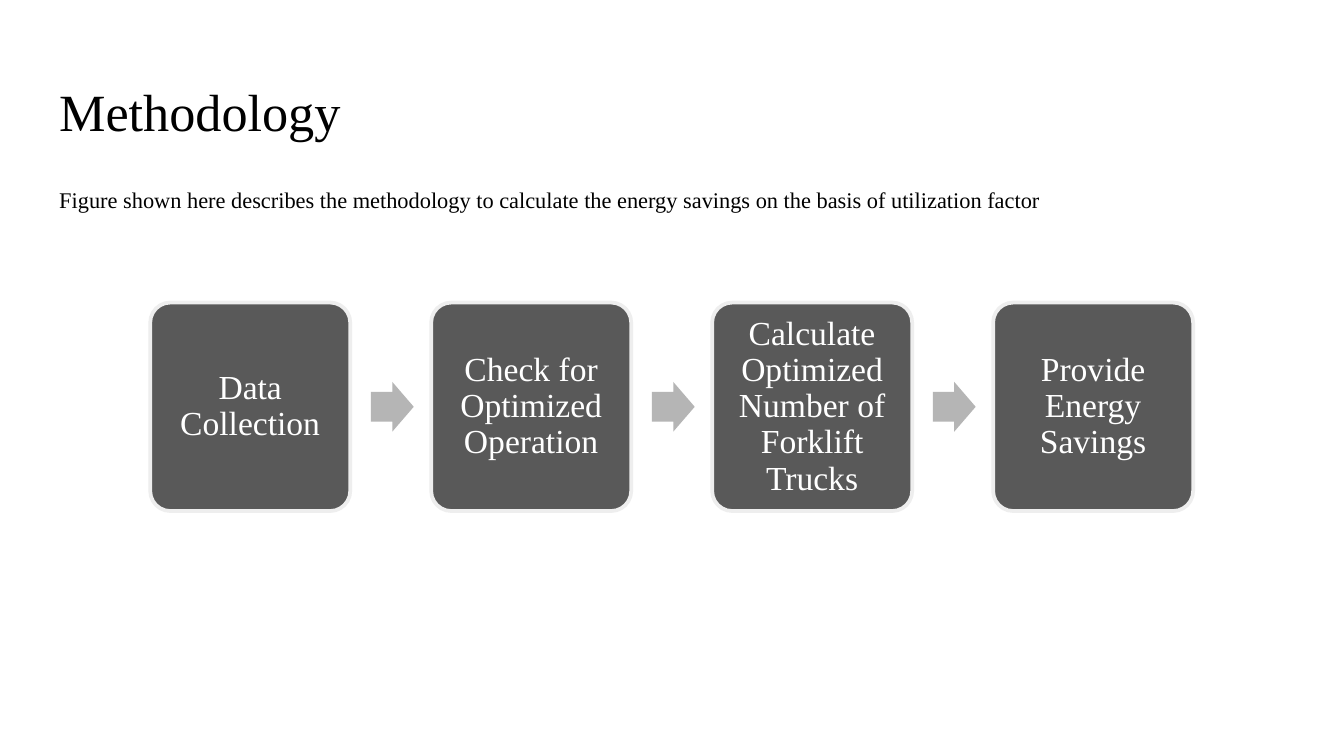
from pptx import Presentation
from pptx import util as u
from pptx.dml.color import RGBColor
from pptx.enum import shapes, text

FONT = "Times New Roman"
COLORS = {
    "ink": "000000",
    "step": "595959",
    "edge": "EEEEEE",
    "arrow": "B5B5B5",
    "label": "FFFFFF",
}
STEPS = [
    "Data Collection",
    "Check for Optimized Operation",
    "Calculate Optimized Number of Forklift Trucks",
    "Provide Energy Savings",
]

# Flow layout in centimetres
STEP_LEFT, STEP_TOP, STEP_WIDTH, STEP_HEIGHT = 2.84, 5.72, 3.78, 3.94
STEP_PITCH = 5.31
ARROW_OFFSET, ARROW_WIDTH, ARROW_HEIGHT = 4.17, 0.81, 0.94


def color(name):
    return RGBColor.from_string(COLORS[name])


def write(box, words, size, ink, inset, spacing):
    """Fill a box with one formatted paragraph."""
    frame = box.text_frame
    frame.word_wrap = True
    frame.margin_left = frame.margin_right = u.Cm(inset)
    frame.margin_top = frame.margin_bottom = u.Cm(inset)
    frame.text = words
    para = frame.paragraphs[0]
    para.line_spacing = spacing
    font = para.runs[0].font
    font.name, font.size = FONT, u.Pt(size)
    font.color.rgb = color(ink)
    return para


def add_text(page, words, top, height, size, spacing):
    box = page.shapes.add_textbox(u.Cm(0.87), u.Cm(top), u.Cm(23.67), u.Cm(height))
    write(box, words, size, "ink", 0.25, spacing)


def add_block(page, kind, left, top, width, height, fill):
    block = page.shapes.add_shape(kind, u.Cm(left), u.Cm(top), u.Cm(width), u.Cm(height))
    block.shadow.inherit = False
    block.fill.solid()
    block.fill.fore_color.rgb = color(fill)
    return block


def add_step(page, words, left):
    step = add_block(page, shapes.MSO_SHAPE.ROUNDED_RECTANGLE,
                     left, STEP_TOP, STEP_WIDTH, STEP_HEIGHT, "step")
    step.adjustments[0] = 0.1
    step.line.color.rgb = color("edge")
    step.line.width = u.Pt(2)
    para = write(step, words, 18, "label", 0.18, 0.9)
    para.alignment = text.PP_ALIGN.CENTER
    step.text_frame.vertical_anchor = text.MSO_ANCHOR.MIDDLE


def add_arrow(page, left):
    top = STEP_TOP + (STEP_HEIGHT - ARROW_HEIGHT) / 2
    arrow = add_block(page, shapes.MSO_SHAPE.RIGHT_ARROW,
                      left, top, ARROW_WIDTH, ARROW_HEIGHT, "arrow")
    arrow.adjustments[0] = 0.6
    arrow.adjustments[1] = 0.5
    arrow.line.fill.background()


def main():
    deck = Presentation()
    deck.slide_width, deck.slide_height = u.Cm(25.4), u.Cm(14.29)
    page = deck.slides.add_slide(deck.slide_layouts[6])

    # Heading and introduction
    add_text(page, "Methodology", 1.24, 1.6, 28, 1.0)
    add_text(page, "Figure shown here describes the methodology to calculate the "
             "energy savings on the basis of utilization factor", 3.2, 9.5, 12, 1.15)

    # Process flow: an arrow follows every step but the last
    for index, words in enumerate(STEPS):
        left = STEP_LEFT + index * STEP_PITCH
        add_step(page, words, left)
        if index < len(STEPS) - 1:
            add_arrow(page, left + ARROW_OFFSET)

    deck.save("out.pptx")


if __name__ == "__main__":
    main()
